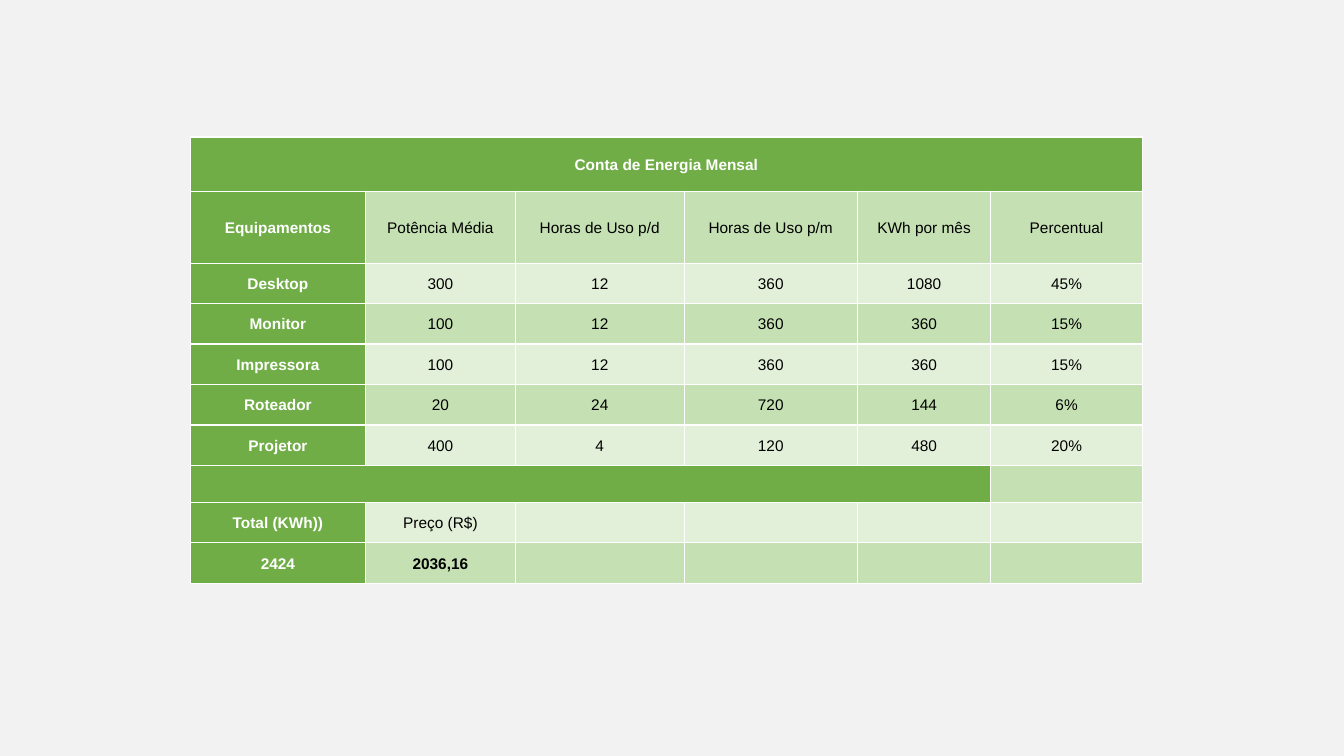
import lxml.etree
import pptx
import pptx.dml.color
import pptx.enum.text
import pptx.oxml.ns
import pptx.util

Cm = pptx.util.Cm
COLORS = {
    "background": "F2F2F2",
    "green": "70AD47",
    "medium": "C5E0B3",
    "light": "E2EFD9",
    "white": "FFFFFF",
    "black": "000000",
}
COLUMN_WIDTHS = [4.41, 3.78, 4.25, 4.37, 3.36, 3.82]
ROW_HEIGHTS = [1.37, 1.81] + [1.02] * 5 + [0.93] + [1.02] * 2
ROWS = [
    ["Conta de Energia Mensal"],
    ["Equipamentos", "Potência Média", "Horas de Uso p/d", "Horas de Uso p/m",
     "KWh por mês", "Percentual"],
    ["Desktop", "300", "12", "360", "1080", "45%"],
    ["Monitor", "100", "12", "360", "360", "15%"],
    ["Impressora", "100", "12", "360", "360", "15%"],
    ["Roteador", "20", "24", "720", "144", "6%"],
    ["Projetor", "400", "4", "120", "480", "20%"],
    [],
    ["Total (KWh))", "Preço (R$)"],
    ["2424", "2036,16"],
]
TITLE_ROW, SPACER_ROW, TOTAL_ROW = 0, 7, 9


def write_text(cell, text, color="black", bold=False, size=11, font="Arial"):
    para = cell.text_frame.paragraphs[0]
    para.alignment = pptx.enum.text.PP_ALIGN.CENTER
    para.line_spacing = 1.07
    para.space_after = pptx.util.Pt(8)
    span = para.add_run()
    span.text = text
    span.font.name = font
    span.font.size = pptx.util.Pt(size)
    span.font.bold = bold
    span.font.color.rgb = pptx.dml.color.RGBColor.from_string(COLORS[color])


def style_cell(cell, color):
    """Give the cell white borders, its fill, margins and anchor."""
    qn = pptx.oxml.ns.qn
    properties = cell._tc.get_or_add_tcPr()
    for side in ("a:lnL", "a:lnR", "a:lnT", "a:lnB"):
        border = lxml.etree.SubElement(properties, qn(side), w=str(pptx.util.Pt(1)))
        border_fill = lxml.etree.SubElement(border, qn("a:solidFill"))
        lxml.etree.SubElement(border_fill, qn("a:srgbClr"), val=COLORS["white"])
    cell.fill.solid()
    cell.fill.fore_color.rgb = pptx.dml.color.RGBColor.from_string(COLORS[color])
    cell.margin_left = cell.margin_right = Cm(0.19)
    cell.margin_top = cell.margin_bottom = 0
    cell.vertical_anchor = pptx.enum.text.MSO_ANCHOR.MIDDLE


deck = pptx.Presentation()
deck.slide_width = Cm(33.87)
deck.slide_height = Cm(19.05)
slide = deck.slides.add_slide(deck.slide_layouts[6])
slide.background.fill.solid()
slide.background.fill.fore_color.rgb = pptx.dml.color.RGBColor.from_string(COLORS["background"])

table = slide.shapes.add_table(
    len(ROWS), len(COLUMN_WIDTHS), Cm(4.8), Cm(3.45),
    Cm(sum(COLUMN_WIDTHS)), Cm(sum(ROW_HEIGHTS)),
).table
table.first_col = True
for column, width in zip(table.columns, COLUMN_WIDTHS):
    column.width = Cm(width)
for row, height in zip(table.rows, ROW_HEIGHTS):
    row.height = Cm(height)

for r, texts in enumerate(ROWS):
    band = "medium" if r % 2 else "light"
    for c in range(len(COLUMN_WIDTHS)):
        is_header = r == TITLE_ROW or c == 0 or (r == SPACER_ROW and c < 5)
        cell = table.cell(r, c)
        style_cell(cell, "green" if is_header else band)
        if c < len(texts):
            write_text(cell, texts[c], color="white" if is_header else "black",
                       bold=is_header or r == TOTAL_ROW)

table.cell(TITLE_ROW, 0).merge(table.cell(TITLE_ROW, 5))
table.cell(SPACER_ROW, 0).merge(table.cell(SPACER_ROW, 4))

deck.save("out.pptx")
